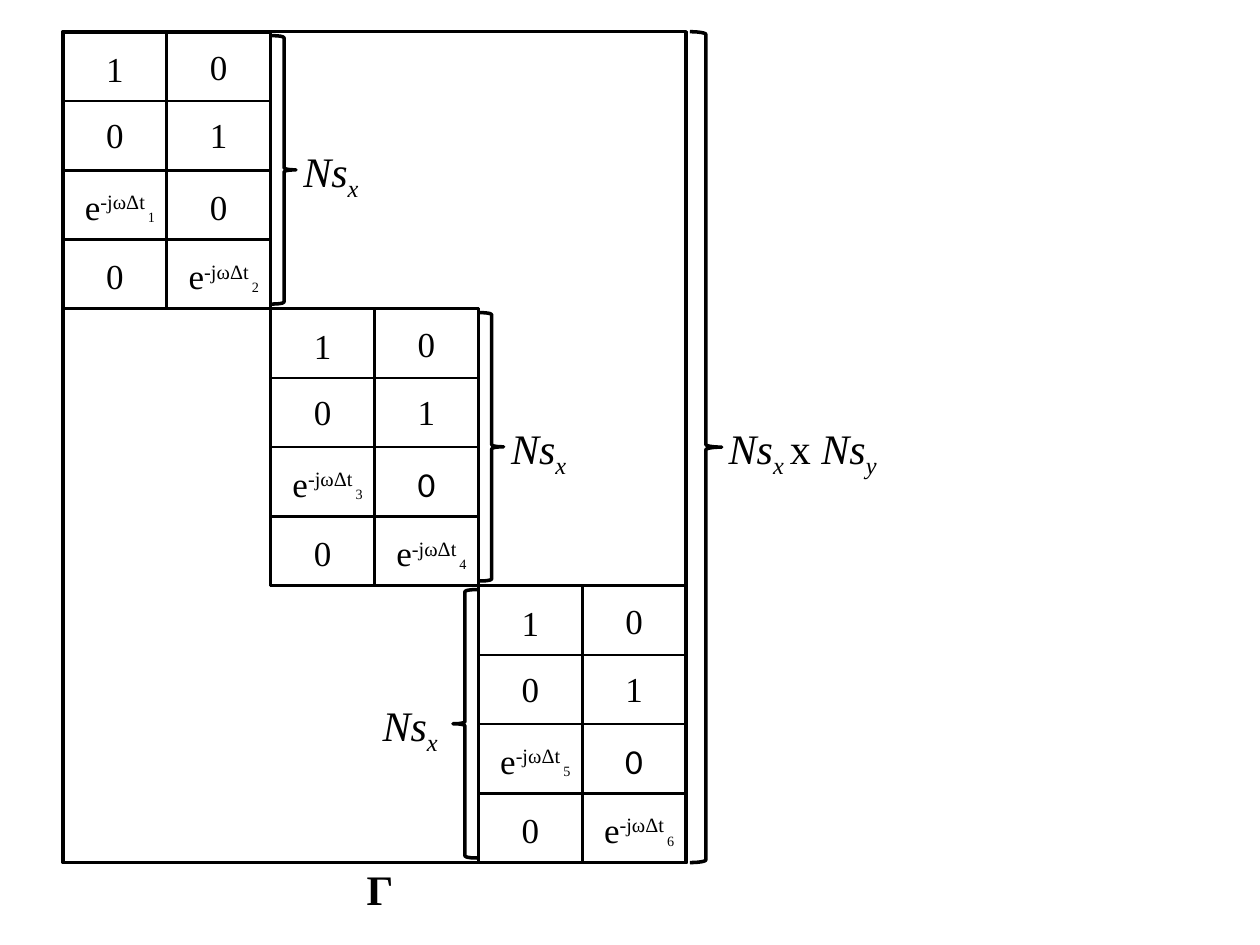
from dataclasses import dataclass

import pptx
import pptx.dml.color
import pptx.enum.shapes
import pptx.enum.text
import pptx.util

Cm = pptx.util.Cm
Pt = pptx.util.Pt
SHAPES = pptx.enum.shapes.MSO_SHAPE
ALIGN = pptx.enum.text.PP_ALIGN


@dataclass(frozen=True)
class Theme:
    ink = pptx.dml.color.RGBColor(0, 0, 0)
    font = "Times New Roman"
    plain_font = "Calibri"
    cell_size = 20
    index_size = 14
    label_size = 24
    cell_line = 1.5
    frame_line = 2
    raised = 30000
    lowered = -25000


@dataclass(frozen=True)
class Box:
    """A rectangle in centimetres."""
    left: float
    top: float
    width: float
    height: float

    def inner(self, left, top, width, height):
        """Return a box placed relative to this one's top left corner."""
        return Box(self.left + left, self.top + top, width, height)

    def lengths(self):
        return Cm(self.left), Cm(self.top), Cm(self.width), Cm(self.height)


THEME = Theme()
BLOCK_COUNT = 3
ROWS, COLUMNS = 4, 2
FRAME = Box(1.27, 0.64, 12.56, 16.75)
EXPONENT = "exponent"
CELLS = [["1", "0"], ["0", "1"], [EXPONENT, "0"], ["0", EXPONENT]]
# Distance from the top of each cell to its text box
TEXT_DROPS = [[0.19, 0.15], [0.13, 0.13], [0.18, 0.18], [0.18, 0.18]]

ITALIC = {"italic": True}
ITALIC_INDEX = {"italic": True, "baseline": THEME.lowered}
BLOCK_LABEL = [("Ns", ITALIC), ("x", ITALIC_INDEX)]
FRAME_LABEL = [("Ns", ITALIC), ("x ", ITALIC_INDEX), ("x ", {}),
               ("Ns", ITALIC), ("y", ITALIC_INDEX)]


def add_outline(shapes, kind, box, line_width):
    shape = shapes.add_shape(kind, *box.lengths())
    shape.shadow.inherit = False
    shape.fill.background()
    shape.line.color.rgb = THEME.ink
    shape.line.width = Pt(line_width)


def add_text(shapes, box, runs, size, alignment=ALIGN.LEFT, font=THEME.font):
    """Add one line of text from (wording, style) pairs."""
    text_frame = shapes.add_textbox(*box.lengths()).text_frame
    text_frame.word_wrap = True
    text_frame.auto_size = pptx.enum.text.MSO_AUTO_SIZE.SHAPE_TO_FIT_TEXT
    paragraph = text_frame.paragraphs[0]
    paragraph.alignment = alignment
    for wording, style in runs:
        run = paragraph.add_run()
        run.text = wording
        run.font.name = font
        run.font.size = Pt(size)
        run.font.color.rgb = THEME.ink
        run.font.bold = style.get("bold", False)
        run.font.italic = style.get("italic", False)
        if "baseline" in style:
            run._r.get_or_add_rPr().set("baseline", str(style["baseline"]))


def add_number(shapes, cell, drop, digit, font):
    side = 1.12
    box = cell.inner((cell.width - side) / 2, drop, side, side)
    add_text(shapes, box, [(digit, {})], THEME.cell_size, ALIGN.CENTER, font)


def add_exponent(shapes, cell, drop, index):
    width = 2.51
    box = cell.inner((cell.width - width) / 2, drop, width, 1.12)
    runs = [("e", {}), ("-jωΔt", {"baseline": THEME.raised})]
    add_text(shapes, box, runs, THEME.cell_size, ALIGN.CENTER)
    add_text(shapes, cell.inner(1.33, drop + 0.14, 0.91, 0.66),
             [(str(index), {"baseline": THEME.lowered})],
             THEME.index_size, ALIGN.CENTER)


def add_block(slide, box, number):
    """Draw one diagonal block; its exponents count on from earlier blocks."""
    shapes = slide.shapes.add_group_shape().shapes
    add_outline(shapes, SHAPES.RECTANGLE, box, THEME.frame_line)
    width, height = box.width / COLUMNS, box.height / ROWS
    index = 2 * number
    for row in range(ROWS):
        for column in range(COLUMNS):
            cell = box.inner(column * width, row * height, width, height)
            add_outline(shapes, SHAPES.RECTANGLE, cell, THEME.cell_line)
            content = CELLS[row][column]
            drop = TEXT_DROPS[row][column]
            if content == EXPONENT:
                index += 1
                add_exponent(shapes, cell, drop, index)
            else:
                plain = number > 0 and (row, column) == (2, 1)
                font = THEME.plain_font if plain else THEME.font
                add_number(shapes, cell, drop, content, font)


def add_block_brace(slide, box, on_left):
    width, gap = 0.48, 0.03
    kind = SHAPES.LEFT_BRACE if on_left else SHAPES.RIGHT_BRACE
    brace_left = -width - gap if on_left else box.width + gap
    label_left = -2.18 if on_left else box.width + 0.41
    add_outline(slide.shapes, kind,
                box.inner(brace_left, 0.08, width, 5.41), THEME.frame_line)
    add_text(slide.shapes, box.inner(label_left, 2.16, 2.01, 1.27),
             BLOCK_LABEL, THEME.label_size)


def add_frame(slide, box):
    """Draw the whole matrix outline with its name and size."""
    add_outline(slide.shapes, SHAPES.RECTANGLE, box, THEME.frame_line)
    add_text(slide.shapes, box.inner(5.87, box.height - 0.1, 0.86, 1.27),
             [("Γ", {"bold": True})], THEME.label_size)
    add_outline(slide.shapes, SHAPES.RIGHT_BRACE,
                box.inner(box.width + 0.08, 0, 0.64, box.height),
                THEME.frame_line)
    add_text(slide.shapes, box.inner(box.width + 0.61, 7.75, 4.57, 1.27),
             FRAME_LABEL, THEME.label_size)


def main():
    presentation = pptx.Presentation()
    presentation.slide_width = Cm(25.4)
    presentation.slide_height = Cm(19.05)
    slide = presentation.slides.add_slide(presentation.slide_layouts[6])

    width, height = FRAME.width / BLOCK_COUNT, FRAME.height / BLOCK_COUNT
    blocks = [FRAME.inner(number * width, number * height, width, height)
              for number in range(BLOCK_COUNT)]
    for number, block in enumerate(blocks):
        add_block(slide, block, number)
    add_frame(slide, FRAME)
    for block in blocks:
        add_block_brace(slide, block, on_left=block is blocks[-1])

    presentation.save("out.pptx")


if __name__ == "__main__":
    main()
